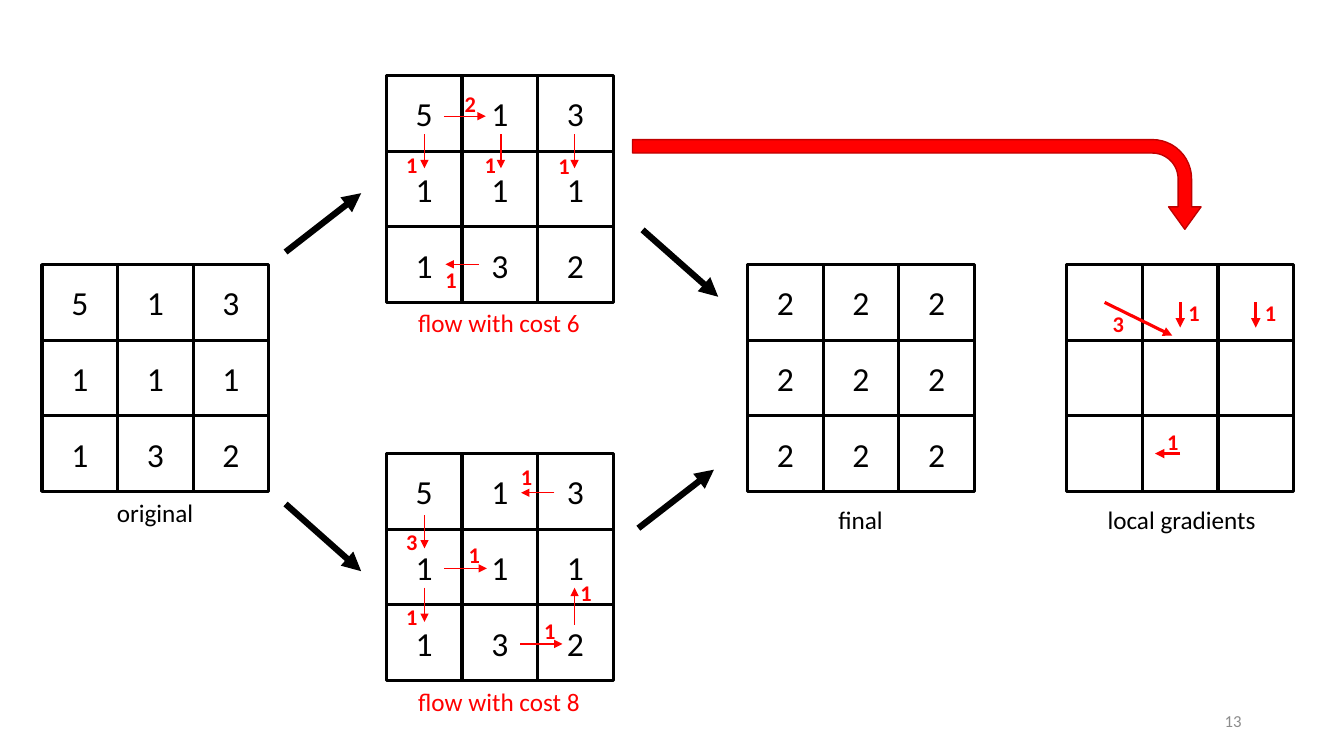
from pptx import Presentation
from pptx.dml.color import RGBColor
from pptx.enum.shapes import MSO_CONNECTOR as Connector, MSO_SHAPE as Shape
from pptx.enum.text import MSO_ANCHOR as Anchor, MSO_AUTO_SIZE as AutoSize, PP_ALIGN as Align
from pptx.oxml.ns import qn
from pptx.util import Pt
from lxml.etree import SubElement

COLORS = {"black": "000000", "red": "FF0000", "dark red": "C00000", "gray": "8C8C8C"}
FONT = "Calibri"
CELL = 54

# Grids: left, top, rows
START = ["513", "111", "132"]
GRIDS = [
    (30, 189, START),
    (276, 54, START),
    (276, 324, START),
    (534, 189, ["222"] * 3),
    (762, 189, ["   "] * 3),
]

# Captions: text, left, top, width, color
CAPTIONS = [
    ("original", 76.3, 352, 70, "black"),
    ("final", 591.8, 357, 47, "black"),
    ("flow with cost 6", 291.6, 216, 131, "red"),
    ("flow with cost 8", 291.6, 486.7, 131, "red"),
    ("local gradients", 784, 357, 121.7, "black"),
]

# Steps between the grids: start x, start y, end x, end y
STEPS = [
    (204, 180, 258, 138),
    (204, 360, 258, 408),
    (456, 377.3, 510, 335.5),
    (459, 164.2, 513, 212),
]

# Flows: arrow ends, amount, left and top of the amount
FLOWS = [
    # cost 6
    ((317, 83, 347, 83), "2", 324.7, 61.2),
    ((303.2, 95.8, 303.2, 120.2), "1", 283, 104.4),
    ((357.8, 95.8, 357.8, 120.2), "1", 339, 104.4),
    ((410.4, 95.8, 410.4, 120.2), "1", 391.7, 105.1),
    ((342, 188.8, 318.2, 188.8), "1", 311, 186.5),
    # cost 8
    ((396, 352, 372.2, 352), "1", 365, 327.6),
    ((303.2, 367.9, 303.2, 391.7), "3", 283, 373.7),
    ((317.5, 406, 347.8, 406), "1", 327.6, 383),
    ((303.2, 419.8, 303.2, 444.2), "1", 283, 427),
    ((371.5, 460, 401.8, 460), "1", 381.6, 437),
    ((410.4, 446.4, 410.4, 419.8), "1", 407.5, 410.4),
]
GRADIENTS = [
    ((843, 216, 843, 234), "1", 841.7, 210.2),
    ((897, 216, 897, 234), "1", 896.4, 210.2),
    ((843, 324, 825, 324), "1", 826.6, 302.4),
    ((789, 216, 837.4, 239.8), "3", 787.7, 218.2),
]


def rgb(color):
    return RGBColor.from_string(COLORS[color])


def write(frame, text, size, color, align=Align.LEFT, bold=False):
    paragraph = frame.paragraphs[0]
    paragraph.text = text
    paragraph.alignment = align
    font = paragraph.font
    font.name, font.size, font.bold = FONT, Pt(size), bold
    font.color.rgb = rgb(color)


def add_label(slide, text, left, top, width, height, size, color, **style):
    box = slide.shapes.add_textbox(Pt(left), Pt(top), Pt(width), Pt(height))
    frame = box.text_frame
    frame.word_wrap = False
    frame.auto_size = AutoSize.SHAPE_TO_FIT_TEXT
    write(frame, text, size, color, **style)


def add_grid(slide, left, top, rows):
    group = slide.shapes.add_group_shape()
    for row, digits in enumerate(rows):
        for column, digit in enumerate(digits):
            cell = group.shapes.add_shape(
                Shape.RECTANGLE, Pt(left + column * CELL), Pt(top + row * CELL),
                Pt(CELL), Pt(CELL))
            cell.shadow.inherit = False
            cell.fill.background()
            cell.line.color.rgb = rgb("black")
            cell.line.width = Pt(2.25)
            if digit.strip():
                cell.text_frame.vertical_anchor = Anchor.MIDDLE
                write(cell.text_frame, digit, 24, "black", Align.CENTER)


def add_arrow(slide, ends, color, width):
    arrow = slide.shapes.add_connector(Connector.STRAIGHT, *map(Pt, ends))
    arrow.line.color.rgb = rgb(color)
    arrow.line.width = Pt(width)
    SubElement(arrow.line._get_or_add_ln(), qn("a:tailEnd"), type="triangle")
    SubElement(arrow._element.spPr, qn("a:effectLst"))


def add_flow(slide, ends, amount, left, top, width):
    add_arrow(slide, ends, "red", width)
    add_label(slide, amount, left, top, 23, 26.6, 16, "red", bold=True)


def add_bent_arrow(slide):
    arrow = slide.shapes.add_shape(Shape.BENT_ARROW, Pt(622.8), Pt(-71.3), Pt(64.1), Pt(406.1))
    arrow.rotation = 90
    for index, value in enumerate((0.15, 0.181, 0.25, 0.438)):
        arrow.adjustments[index] = value
    arrow.shadow.inherit = False
    arrow.fill.solid()
    arrow.fill.fore_color.rgb = rgb("red")
    arrow.line.color.rgb = rgb("dark red")
    arrow.line.width = Pt(1)


def add_slide_number(slide):
    box = slide.shapes.add_textbox(Pt(678), Pt(500.5), Pt(216), Pt(28.8))
    box.text_frame.word_wrap = True
    box.text_frame.vertical_anchor = Anchor.MIDDLE
    write(box.text_frame, "13", 12, "gray", Align.RIGHT)


def main():
    presentation = Presentation()
    presentation.slide_width, presentation.slide_height = Pt(960), Pt(540)
    slide = presentation.slides.add_slide(presentation.slide_layouts[6])

    add_slide_number(slide)
    for grid in GRIDS:
        add_grid(slide, *grid)
    for ends in STEPS:
        add_arrow(slide, ends, "black", 4.5)
    for flow in FLOWS:
        add_flow(slide, *flow, width=1)
    for gradient in GRADIENTS:
        add_flow(slide, *gradient, width=2.25)
    for text, left, top, width, color in CAPTIONS:
        add_label(slide, text, left, top, width, 29, 18, color)
    add_bent_arrow(slide)

    presentation.save("out.pptx")


if __name__ == "__main__":
    main()
